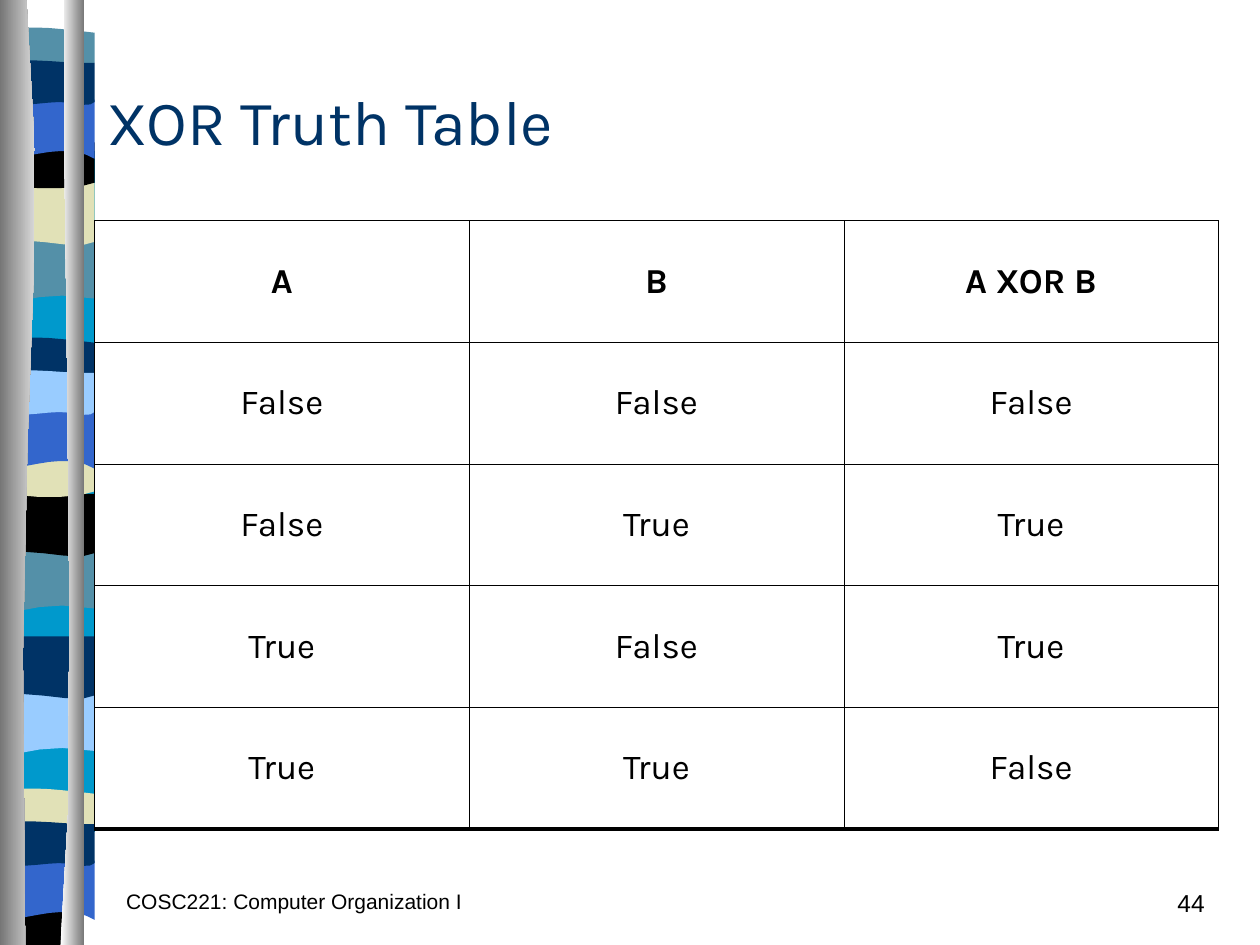
"""Build the XOR truth table slide with its striped column border."""
from dataclasses import dataclass
from typing import Sequence

from lxml.etree import SubElement
from pptx import Presentation
from pptx.dml.color import RGBColor
from pptx.enum.text import MSO_ANCHOR as Anchor, PP_ALIGN as Align
from pptx.oxml.ns import qn
from pptx.util import Inches, Pt

BLACK = RGBColor(0x00, 0x00, 0x00)
WHITE = RGBColor(0xFF, 0xFF, 0xFF)
NAVY = RGBColor(0x00, 0x33, 0x66)
OCEAN = RGBColor(0x00, 0x99, 0xCC)
TEAL = RGBColor(0x54, 0x90, 0xA8)
SAND = RGBColor(0xE1, 0xE1, 0xB7)
ROYAL = RGBColor(0x33, 0x66, 0xCC)
SKY = RGBColor(0x99, 0xCC, 0xFF)
GREY = RGBColor(0x76, 0x76, 0x76)
SILVER = RGBColor(0xD8, 0xD8, 0xD8)

Outline = Sequence[tuple[float, ...]]
BAND_LEFT, BAND_WIDTH = 0.03, 0.72
CURVE_STEPS = 5

RECTANGLE: Outline = [(1, 0), (1, 1), (0, 1), (0, 0)]
SWELL: Outline = [(1, 0), (1, 0.47), (0.31, 0.39, 0.16, 0.55, 0, 0.47), (0, 0)]
DIP: Outline = [(1, 0), (1, 0.47), (0.84, 0.55, 0.31, 0.42, 0, 0.47), (0, 0)]
LENS: Outline = [(1, 0.05), (1, 0.29), (0.84, 0.33, 0.16, 0.33, 0, 0.29), (0, 0.05),
                 (0.06, 0, 0.22, 0.01, 0.39, 0.01), (0.55, 0.01, 0.87, 0.04, 1, 0.05)]
BOWL: Outline = [(1, 0), (1, 0.32), (0.84, 0.38, 0.16, 0.38, 0, 0.32), (0, 0),
                 (0.61, 0.05, 0.79, 0, 1, 0)]
ARCH: Outline = [(1, 0), (1, 0.47), (0.84, 0.41, 0.79, 0.41, 0.61, 0.41),
                 (0.45, 0.41, 0.16, 0.47, 0, 0.47), (0, 0)]
RIBBON: Outline = [(1, 0.05), (1, 0.36), (0.94, 0.41, 0.79, 0.36, 0.61, 0.36),
                   (0.45, 0.36, 0.11, 0.41, 0, 0.36), (0, 0.05),
                   (0.15, 0, 0.68, 0.05, 0.85, 0.05), (1, 0.05)]
FOOT: Outline = [(0.8, 0), (0.8, 0.33), (0, 0.33), (0, 0), (0.5, 0.05, 0.65, 0, 0.8, 0)]
LEFT_PILLAR: Outline = [(0.21, 0), (0.41, 2.17, 0.1, 2.97, 0.2, 7.5), (0, 7.5), (0, 0)]
RIGHT_PILLAR: Outline = [(0.51, 0), (0.48, 1.25, 0.64, 6.47, 0.48, 7.5), (0.67, 7.5), (0.67, 0)]


@dataclass(frozen=True)
class Band:
    """A coloured stripe at a given height."""
    outline: Outline
    top: float
    color: RGBColor
    stretch: float = 1


@dataclass(frozen=True)
class Footer:
    """A line of text at the foot of the slide."""
    text: str
    left: float
    width: float
    size: int
    align: Align


BANDS = [
    Band(RECTANGLE, 1.2, OCEAN, 5.4),
    Band(SWELL, 1.9, TEAL), Band(DIP, 1.45, SAND), Band(LENS, 0.21, TEAL),
    Band(BOWL, 1.13, BLACK), Band(ARCH, 0.79, ROYAL), Band(RIBBON, 0.45, NAVY),
    Band(SWELL, 4.36, TEAL), Band(DIP, 3.92, BLACK), Band(LENS, 2.67, NAVY),
    Band(BOWL, 3.58, SAND), Band(ARCH, 3.25, ROYAL), Band(RIBBON, 2.91, SKY),
    Band(SWELL, 5.49, SKY), Band(DIP, 5.05, NAVY), Band(LENS, 6.25, SAND),
    Band(FOOT, 7.17, BLACK), Band(ARCH, 6.83, ROYAL), Band(RIBBON, 6.49, NAVY),
]
FOOTERS = [
    Footer("COSC221: Computer Organization I", 0.75, 3.17, 12, Align.CENTER),
    Footer("44", 7.58, 2.08, 14, Align.RIGHT),
]
HEADINGS = ["A", "B", "A XOR B"]
TRUTH_ROWS = [[str(value) for value in (a, b, a != b)]
              for a in (False, True) for b in (False, True)]


def trace(outline: Outline) -> list[tuple[float, float]]:
    """Turn straight and cubic segments into points."""
    points: list[tuple[float, float]] = []
    for segment in outline:
        if len(segment) == 2:
            points.append((segment[0], segment[1]))
            continue
        x0, y0 = points[-1]
        x1, y1, x2, y2, x3, y3 = segment
        for step in range(1, CURVE_STEPS + 1):
            t = step / CURVE_STEPS
            u = 1 - t
            weights = (u ** 3, 3 * u * u * t, 3 * u * t * t, t ** 3)
            points.append((sum(w * x for w, x in zip(weights, (x0, x1, x2, x3))),
                           sum(w * y for w, y in zip(weights, (y0, y1, y2, y3)))))
    return points


def draw_outline(slide, points: list[tuple[float, float]]):
    """Draw a closed shape without line or shadow."""
    start, *others = [(Inches(x), Inches(y)) for x, y in points]
    builder = slide.shapes.build_freeform(*start)
    builder.add_line_segments(others, close=True)
    shape = builder.convert_to_shape()
    shape.shadow.inherit = False
    shape.line.fill.background()
    return shape


def draw_band(slide, band: Band) -> None:
    """Draw one stripe of the border."""
    points = [(BAND_LEFT + x * BAND_WIDTH, band.top + y * band.stretch)
              for x, y in trace(band.outline)]
    fill = draw_outline(slide, points).fill
    fill.solid()
    fill.fore_color.rgb = band.color


def draw_pillar(slide, outline: Outline, colors: tuple[RGBColor, RGBColor]) -> None:
    """Draw a pillar shaded from left to right."""
    fill = draw_outline(slide, trace(outline)).fill
    fill.gradient()
    fill.gradient_angle = 0
    for stop, color in zip(fill.gradient_stops, colors):
        stop.color.rgb = color


def format_text(paragraph, size: int, font: str, color: RGBColor, align: Align,
                before: float = 0, bold: bool = False) -> None:
    """Set the look of a paragraph."""
    paragraph.alignment = align
    paragraph.space_before = Pt(before)
    paragraph.font.size = Pt(size)
    paragraph.font.name = font
    paragraph.font.bold = bold
    paragraph.font.color.rgb = color


def draw_footer(slide, footer: Footer) -> None:
    """Draw one footer text."""
    frame = slide.shapes.add_textbox(Inches(footer.left), Inches(7),
                                     Inches(footer.width), Inches(0.33)).text_frame
    frame.word_wrap = True
    frame.text = footer.text
    format_text(frame.paragraphs[0], footer.size, "Arial", BLACK, footer.align, footer.size / 2)


def set_borders(cell, bottom: float) -> None:
    """Give a cell thin black borders and a chosen bottom width."""
    properties = cell._tc.get_or_add_tcPr()
    for side, width in (("L", 0.25), ("R", 0.25), ("T", 0.25), ("B", bottom)):
        line = SubElement(properties, qn(f"a:ln{side}"), w=str(Pt(width)))
        SubElement(SubElement(line, qn("a:solidFill")), qn("a:srgbClr"), val=str(BLACK))


def draw_table(slide) -> None:
    """Draw the truth table."""
    rows = [HEADINGS, *TRUTH_ROWS]
    table = slide.shapes.add_table(len(rows), len(HEADINGS), Inches(0.75), Inches(1.75),
                                   Inches(8.92), Inches(4.83)).table
    table.first_row = table.horz_banding = False
    for r, row in enumerate(rows):
        for c, value in enumerate(row):
            cell = table.cell(r, c)
            cell.text = value
            cell.vertical_anchor = Anchor.MIDDLE
            format_text(cell.text_frame.paragraphs[0], 20, "Karla", BLACK, Align.CENTER, 4, r == 0)
            set_borders(cell, 2.25 if r == len(rows) - 1 else 0.25)
            cell.fill.background()


def main() -> None:
    """Assemble and save the slide."""
    deck = Presentation()
    deck.slide_width, deck.slide_height = Inches(10), Inches(7.5)
    slide = deck.slides.add_slide(deck.slide_layouts[5])
    for band in BANDS:
        draw_band(slide, band)
    draw_pillar(slide, LEFT_PILLAR, (GREY, SILVER))
    draw_pillar(slide, RIGHT_PILLAR, (WHITE, GREY))
    for footer in FOOTERS:
        draw_footer(slide, footer)
    title = slide.shapes.title
    title.left, title.top = Inches(0.75), Inches(0.33)
    title.width, title.height = Inches(8.92), Inches(1.25)
    title.text_frame.text = "XOR Truth Table"
    title.text_frame.vertical_anchor = Anchor.MIDDLE
    format_text(title.text_frame.paragraphs[0], 36, "Karla", NAVY, Align.LEFT)
    draw_table(slide)
    deck.save("out.pptx")


main()
